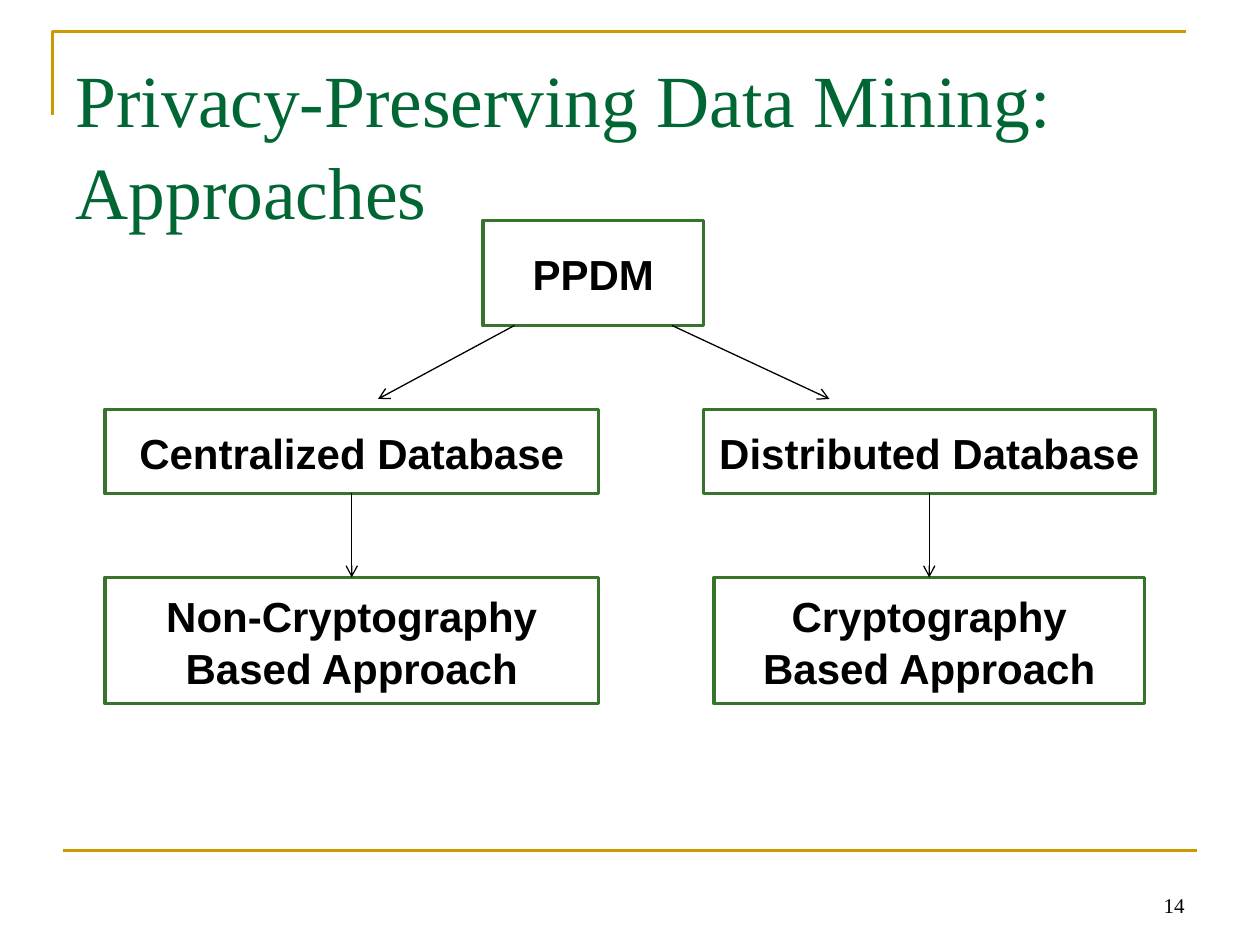
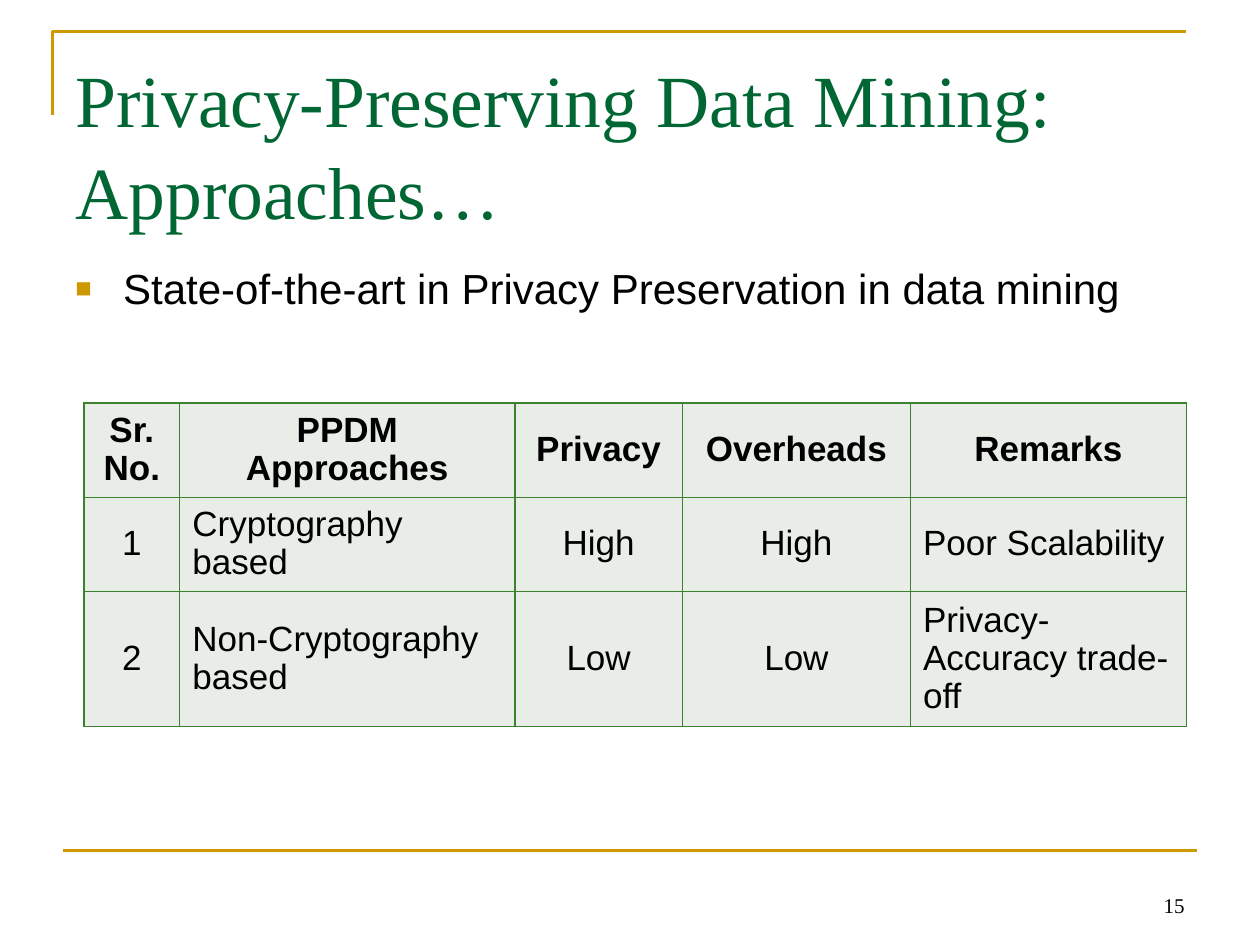
from lxml.etree import SubElement
from pptx import Presentation
from pptx.dml.color import RGBColor
from pptx.enum.shapes import MSO_CONNECTOR, MSO_SHAPE
from pptx.enum.text import MSO_ANCHOR, PP_ALIGN
from pptx.oxml.ns import qn
from pptx.util import Inches, Pt

# Content
HEAD = "Privacy-Preserving Data Mining: Approaches"
PAGES = [(HEAD, "14"), (HEAD + "…", "15")]

# Boxes: text, then left, top, width, height in grid units
BOXES = {
    "root": ("PPDM", (46, 21, 21, 10)),
    "central": ("Centralized Database", (10, 39, 47, 8)),
    "spread": ("Distributed Database", (67, 39, 43, 8)),
    "plain": ("Non-Cryptography Based Approach", (10, 55, 47, 12)),
    "crypto": ("Cryptography Based Approach", (68, 55, 41, 12)),
}
SLANTS = [(49, 31, 36, 38), (64, 31, 79, 38)]
DROPS = [("central", "plain"), ("spread", "crypto")]

POINT = "State-of-the-art in Privacy Preservation in data mining"
ROWS = [
    ("Sr. No.", "PPDM Approaches", "Privacy", "Overheads", "Remarks"),
    ("1", "Cryptography based", "High", "High", "Poor Scalability"),
    ("2", "Non-Cryptography based", "Low", "Low", "Privacy-Accuracy trade-off"),
]
COLS = (0.76, 2.66, 1.33, 1.81, 2.19)
TALL = (0.72, 0.72, 1.03)
LEFT_COLS = (1, 4)


class Theme:
    gold, green, edge, rule = "CC9900", "006633", "35742A", "3B812F"
    ink, paper, cell = "000000", "FFFFFF", "E8EDE8"
    serif, sans = "Times New Roman", "Arial"
    title, body, table, page = 42, 24, 20, 12
    lead, tight = 1.04, 0.97


# Grid of twelve units to the inch
def unit(n):
    return Inches(n / 12)


def units(*nums):
    return [unit(n) for n in nums]


def rgb(code):
    return RGBColor.from_string(code)


def write(frame, text, size, face=Theme.sans, color=Theme.ink, bold=False,
          align=PP_ALIGN.LEFT, anchor=MSO_ANCHOR.TOP, lead=1.0):
    frame.word_wrap = True
    frame.vertical_anchor = anchor
    para = frame.paragraphs[0]
    para.alignment = align
    para.line_spacing = lead
    run = para.add_run()
    run.text = text
    look = {"size": Pt(size), "name": face, "bold": bold}
    for key, value in look.items():
        setattr(run.font, key, value)
    run.font.color.rgb = rgb(color)
    return para


def stroke(shape, color, width):
    shape.line.color.rgb = rgb(color)
    shape.line.width = Pt(width)


def link(slide, ends, color, width, arrow=False):
    line = slide.shapes.add_connector(MSO_CONNECTOR.STRAIGHT, *units(*ends))
    stroke(line, color, width)
    if arrow:
        SubElement(line.line._get_or_add_ln(), qn("a:tailEnd"), type="arrow")
    SubElement(line._element.spPr, qn("a:effectLst"))
    return line


# Shared frame, title and page number
def start(deck, title, page):
    slide = deck.slides.add_slide(deck.slide_layouts[5])
    path = slide.shapes.build_freeform(unit(5), unit(11))
    path.add_line_segments([units(5, 3), units(113, 3)], close=False)
    frame = path.convert_to_shape()
    frame.shadow.inherit = False
    frame.fill.background()
    stroke(frame, Theme.gold, 1.5)
    link(slide, (6, 81, 114, 81), Theme.gold, 1.5)

    head = slide.shapes.title
    head.left, head.top, head.width, head.height = units(6, 3.6, 108, 15)
    head.text_frame.margin_top = Inches(0.1)
    write(head.text_frame, title, Theme.title, Theme.serif, Theme.green,
          lead=Theme.lead)
    foot = slide.shapes.add_textbox(*units(86, 82, 28, 6))
    write(foot.text_frame, page, Theme.page, Theme.serif,
          align=PP_ALIGN.RIGHT, anchor=MSO_ANCHOR.BOTTOM)
    return slide


# Tree of approaches
def draw_tree(slide):
    made = {}
    for name, (text, place) in BOXES.items():
        box = slide.shapes.add_shape(MSO_SHAPE.RECTANGLE, *units(*place))
        box.shadow.inherit = False
        box.fill.solid()
        box.fill.fore_color.rgb = rgb(Theme.paper)
        stroke(box, Theme.edge, 2)
        write(box.text_frame, text, Theme.body, bold=True, lead=Theme.lead,
              align=PP_ALIGN.CENTER, anchor=MSO_ANCHOR.MIDDLE)
        made[name] = box
    for ends in SLANTS:
        link(slide, ends, Theme.ink, 0.75, arrow=True)
    for top, low in DROPS:
        line = link(slide, (0, 0, 0, 0), Theme.ink, 0.75, arrow=True)
        line.begin_connect(made[top], 2)
        line.end_connect(made[low], 0)


# Bulleted statement
def draw_point(slide):
    box = slide.shapes.add_textbox(*units(6, 24.4, 108, 9))
    para = write(box.text_frame, POINT, Theme.body)
    props = para._p.get_or_add_pPr()
    props.set("marL", str(Inches(0.38)))
    props.set("indent", str(-Inches(0.38)))
    tint = SubElement(props, qn("a:buClr"))
    SubElement(tint, qn("a:srgbClr"), val=Theme.gold)
    SubElement(props, qn("a:buSzPct"), val="65000")
    SubElement(props, qn("a:buFont"), typeface=Theme.sans)
    SubElement(props, qn("a:buChar"), char="■")


def edge_cell(cell):
    props = cell._tc.get_or_add_tcPr()
    for spot, side in enumerate(("lnL", "lnR", "lnT", "lnB")):
        line = props.makeelement(qn("a:" + side), {"w": str(Pt(1))})
        fill = SubElement(line, qn("a:solidFill"))
        SubElement(fill, qn("a:srgbClr"), val=Theme.rule)
        props.insert(spot, line)


# Comparison table
def draw_table(slide):
    grid = slide.shapes.add_table(
        len(ROWS), len(COLS), unit(8), Inches(3.2),
        Inches(sum(COLS)), Inches(sum(TALL))).table
    for col, wide in zip(grid.columns, COLS):
        col.width = Inches(wide)
    for row, tall in zip(grid.rows, TALL):
        row.height = Inches(tall)
    for r, texts in enumerate(ROWS):
        for c, text in enumerate(texts):
            cell = grid.cell(r, c)
            cell.fill.solid()
            cell.fill.fore_color.rgb = rgb(Theme.cell)
            cell.vertical_anchor = MSO_ANCHOR.MIDDLE
            left = r > 0 and c in LEFT_COLS
            write(cell.text_frame, text, Theme.table, bold=r == 0,
                  align=PP_ALIGN.LEFT if left else PP_ALIGN.CENTER,
                  lead=Theme.tight)
            edge_cell(cell)


def main():
    deck = Presentation()
    deck.slide_width, deck.slide_height = Inches(10), Inches(7.5)
    tree, state = [start(deck, *page) for page in PAGES]
    draw_tree(tree)
    draw_point(state)
    draw_table(state)
    deck.save("out.pptx")


if __name__ == "__main__":
    main()
